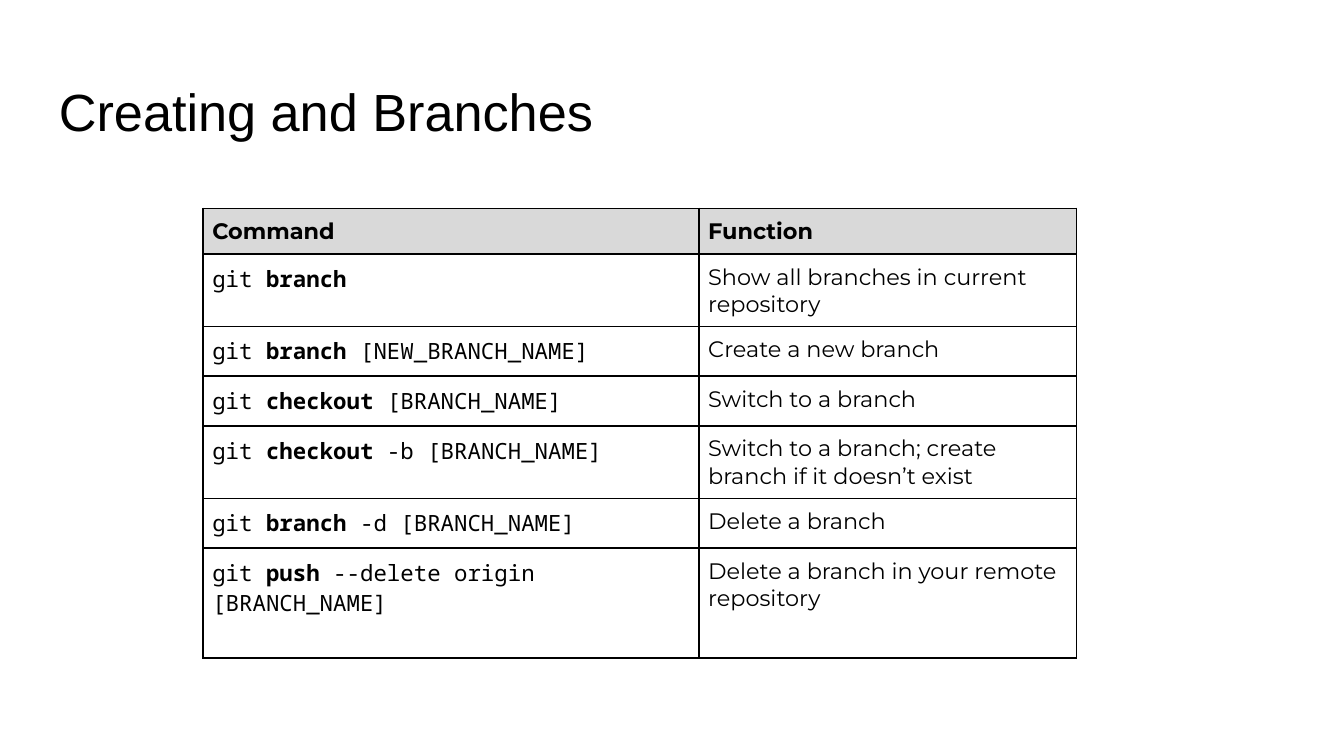
from lxml import etree
from pptx import Presentation
from pptx.dml.color import RGBColor
from pptx.enum.text import MSO_ANCHOR
from pptx.oxml.ns import qn
from pptx.util import Inches, Pt

TOP = MSO_ANCHOR.TOP
BLACK, HEADER_GREY = "000000", "D9D9D9"
SANS, BODY, MONO = "Arial", "Montserrat", "Noto Sans Mono"

# Each command is split into plain start, bold keyword and plain rest
COMMANDS = [
    (("git ", "branch", ""), "Show all branches in current repository"),
    (("git ", "branch ", "[NEW_BRANCH_NAME]"), "Create a new branch"),
    (("git ", "checkout ", "[BRANCH_NAME]"), "Switch to a branch"),
    (("git ", "checkout", " -b [BRANCH_NAME]"),
     "Switch to a branch; create branch if it doesn’t exist"),
    (("git ", "branch ", "-d [BRANCH_NAME]"), "Delete a branch"),
    (("git ", "push ", "--delete origin [BRANCH_NAME]"),
     "Delete a branch in your remote repository"),
]
COLUMN_WIDTHS = [3.69, 2.81]
ROW_HEIGHTS = [0.34, 0.54, 0.37, 0.37, 0.54, 0.37, 0.82]


def color(value):
    return RGBColor.from_string(value)


class SlideBuilder:
    def __init__(self, page):
        self.page = page

    def add_span(self, para, text, font, size, bold=False):
        span = para.add_run()
        span.text = text
        for name, value in {"name": font, "size": Pt(size), "bold": bold}.items():
            setattr(span.font, name, value)
        span.font.color.rgb = color(BLACK)

    def add_title(self, text, left, top, width, height):
        box = self.page.shapes.add_textbox(
            Inches(left), Inches(top), Inches(width), Inches(height))
        frame = box.text_frame
        frame.word_wrap = True
        frame.vertical_anchor = TOP
        for side in ("left", "right", "top", "bottom"):
            setattr(frame, f"margin_{side}", Inches(0.1))
        self.add_span(frame.paragraphs[0], text, SANS, 28)

    def add_borders(self, cell):
        properties = cell._tc.get_or_add_tcPr()
        for position, side in enumerate(("lnL", "lnR", "lnT", "lnB")):
            line = etree.Element(qn(f"a:{side}"), w=str(Pt(1)))
            fill = etree.SubElement(line, qn("a:solidFill"))
            etree.SubElement(fill, qn("a:srgbClr"), val=BLACK)
            properties.insert(position, line)

    def fill_cell(self, cell, spans, background=None):
        for side in ("left", "right", "top", "bottom"):
            setattr(cell, f"margin_{side}", Inches(0.07))
        cell.vertical_anchor = TOP
        if background:
            cell.fill.solid()
            cell.fill.fore_color.rgb = color(background)
        else:
            cell.fill.background()
        self.add_borders(cell)
        para = cell.text_frame.paragraphs[0]
        for text, font, bold in spans:
            if text:
                self.add_span(para, text, font, 12, bold)

    def add_command_table(self, left, top):
        table = self.page.shapes.add_table(
            len(ROW_HEIGHTS), len(COLUMN_WIDTHS), Inches(left), Inches(top),
            Inches(sum(COLUMN_WIDTHS)), Inches(sum(ROW_HEIGHTS))).table
        table.horz_banding = False
        for column, width in zip(table.columns, COLUMN_WIDTHS):
            column.width = Inches(width)
        for row, height in zip(table.rows, ROW_HEIGHTS):
            row.height = Inches(height)

        # Header row
        for index, heading in enumerate(("Command", "Function")):
            self.fill_cell(table.cell(0, index), [(heading, BODY, True)], HEADER_GREY)

        # Command rows
        for index, ((start, keyword, rest), function) in enumerate(COMMANDS, 1):
            command = [(start, MONO, False), (keyword, MONO, True), (rest, MONO, False)]
            self.fill_cell(table.cell(index, 0), command)
            self.fill_cell(table.cell(index, 1), [(function, BODY, False)])


def main():
    deck = Presentation()
    # Widescreen page, 16:9
    deck.slide_width = Inches(10)
    deck.slide_height = Inches(10 * 9 / 16)
    builder = SlideBuilder(deck.slides.add_slide(deck.slide_layouts[6]))
    builder.add_title("Creating and Branches", 0.34, 0.49, 9.32, 0.63)
    builder.add_command_table(1.51, 1.55)
    deck.save("out.pptx")


if __name__ == "__main__":
    main()
